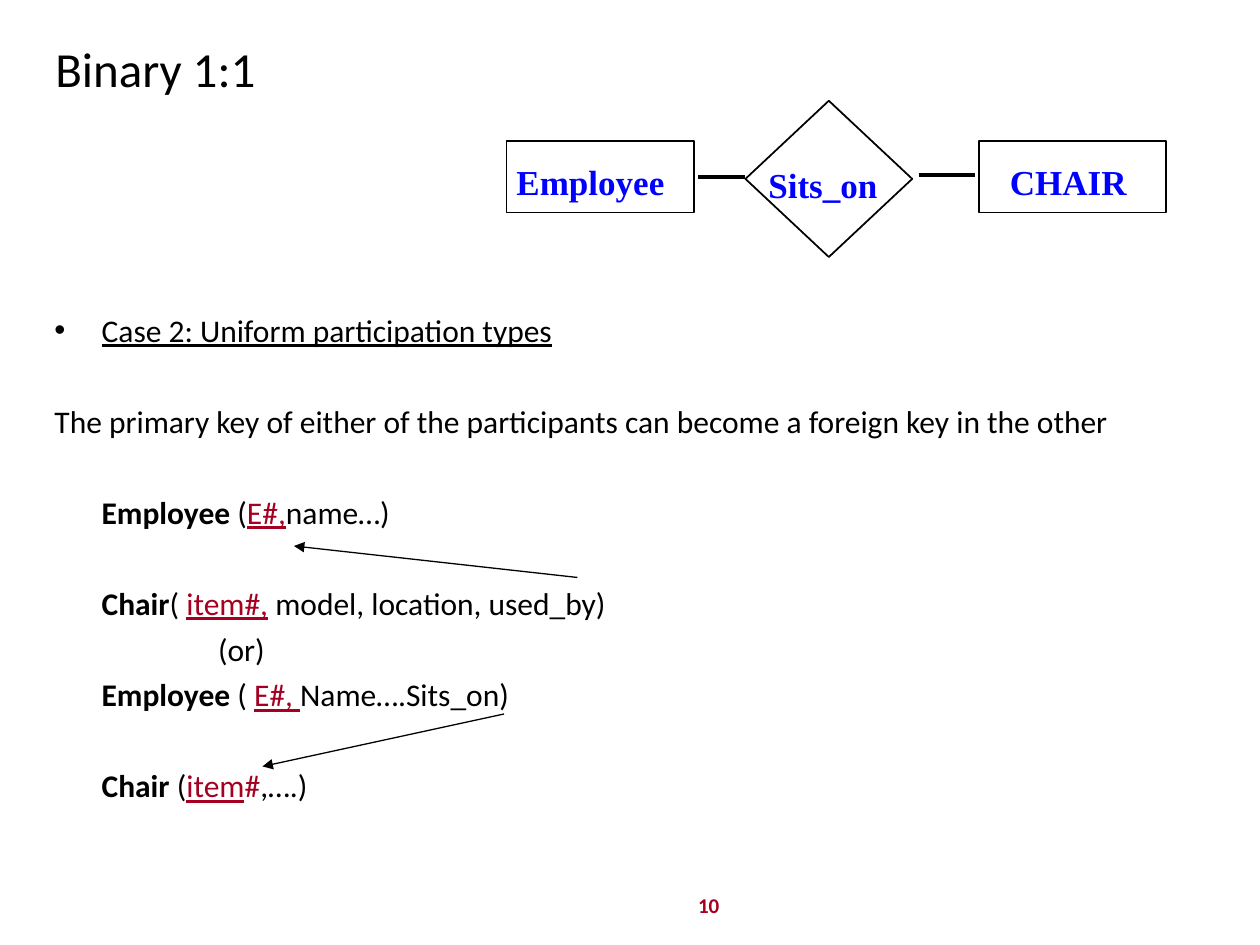
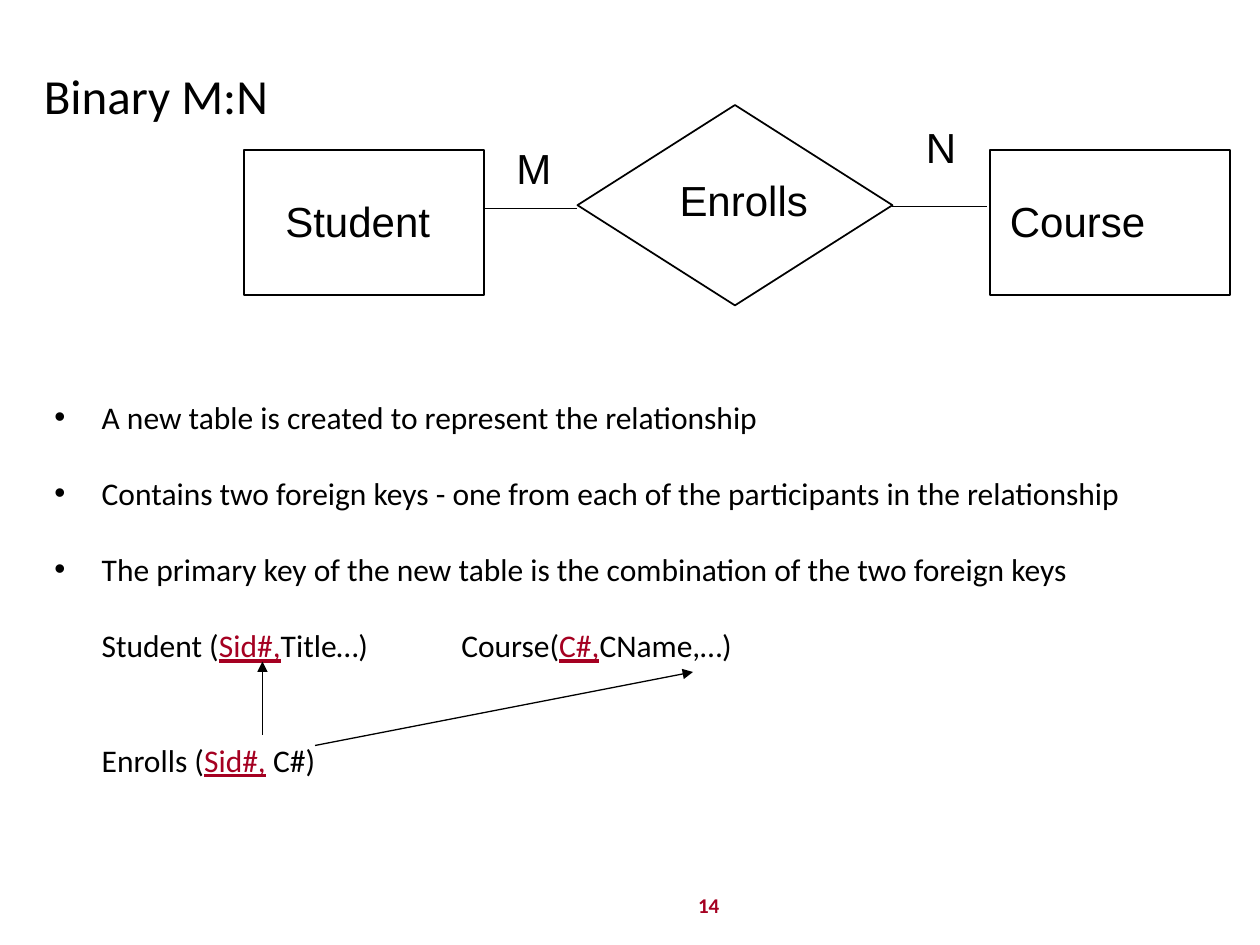
from dataclasses import dataclass
from enum import Enum

from lxml import etree
from pptx import Presentation
from pptx.dml.color import RGBColor
from pptx.enum import shapes, text
from pptx.oxml.ns import qn
from pptx.util import Pt

BLACK = RGBColor(0x00, 0x00, 0x00)
BLUE = RGBColor(0x00, 0x00, 0xFF)
CRIMSON = RGBColor(0xA5, 0x00, 0x21)
BODY_FONT = "Calibri"
RECT = shapes.MSO_SHAPE.RECTANGLE
DIAMOND = shapes.MSO_SHAPE.DIAMOND
LEFT, CENTER = text.PP_ALIGN.LEFT, text.PP_ALIGN.CENTER

Box = tuple[float, float, float, float]


class Mark(Enum):
    PLAIN = 0
    ENTITY = 1  # bold table name
    KEY = 2  # underlined red key
    RED = 3


@dataclass
class Font:
    name: str
    size: float
    color: RGBColor = BLACK
    bold: bool = False


@dataclass
class Outline:
    kind: shapes.MSO_SHAPE
    box: Box


@dataclass
class Label:
    text: str
    box: Box
    align: text.PP_ALIGN = LEFT


@dataclass
class Line:
    box: Box  # x1, y1, x2, y2
    width: float = 0.75
    arrow: bool = False


@dataclass
class Para:
    runs: list[tuple[str, Mark]]
    before: float = 0
    margin: float = 0
    indent: float = 0
    bullet: bool = False
    underline: bool = False


TITLE = Font(BODY_FONT, 28)
BODY = Font(BODY_FONT, 18)
NUMBER = Font(BODY_FONT, 12, CRIMSON, True)
SERIF = Font("Times New Roman", 20, BLUE, True)
SANS = Font("Arial", 24)


def set_font(r, font: Font) -> None:
    r.font.name, r.font.size, r.font.bold = font.name, Pt(font.size), font.bold
    r.font.color.rgb = font.color


def add_box(s, box: Box, wrap: bool = True):
    tf = s.shapes.add_textbox(*map(Pt, box)).text_frame
    tf.word_wrap = wrap
    return tf


def add_label(s, label: Label, font: Font, wrap: bool = False, middle: bool = False) -> None:
    tf = add_box(s, label.box, wrap)
    tf.text = label.text
    if middle:
        tf.vertical_anchor = text.MSO_ANCHOR.MIDDLE
    p = tf.paragraphs[0]
    p.alignment = label.align
    set_font(p.runs[0], font)


def add_outline(s, outline: Outline) -> None:
    sp = s.shapes.add_shape(outline.kind, *map(Pt, outline.box))
    sp.shadow.inherit = False
    sp.fill.background()
    sp.line.color.rgb, sp.line.width = BLACK, Pt(1)


def add_line(s, line: Line) -> None:
    cx = s.shapes.add_connector(shapes.MSO_CONNECTOR.STRAIGHT, *map(Pt, line.box))
    cx.line.color.rgb, cx.line.width = BLACK, Pt(line.width)
    if line.arrow:
        etree.SubElement(cx.line._get_or_add_ln(), qn("a:tailEnd"), type="triangle")
    etree.SubElement(cx._element.spPr, qn("a:effectLst"))


def add_para(p, para: Para, spacing: float) -> None:
    p.line_spacing, p.space_before = spacing, Pt(para.before)
    ppr = p._p.get_or_add_pPr()
    ppr.set("marL", str(Pt(para.margin)))
    ppr.set("indent", str(Pt(para.indent)))
    if para.bullet:
        etree.SubElement(ppr, qn("a:buFont"), typeface="Arial")
        etree.SubElement(ppr, qn("a:buChar"), char="•")
    for words, mark in para.runs:
        r = p.add_run()
        r.text = words
        set_font(r, BODY)
        r.font.bold = mark is Mark.ENTITY
        r.font.underline = para.underline or mark is Mark.KEY
        if mark in (Mark.KEY, Mark.RED):
            r.font.color.rgb = CRIMSON


def add_body(s, box: Box, paras: list[Para], spacing: float = 1.0) -> None:
    tf = add_box(s, box)
    for i, para in enumerate(paras):
        add_para(tf.add_paragraph() if i else tf.paragraphs[0], para, spacing)


def bullet(words: str, before: float = 0, underline: bool = False) -> Para:
    return Para([(words, Mark.PLAIN)], before, 27, -27, True, underline)


def schema(before: float, *runs: tuple[str, Mark]) -> Para:
    return Para(list(runs), before, 52.5, -25.5)


def add_slide(prs, title: Label, number: str):
    """Blank slide with the shared title style and page number."""
    s = prs.slides.add_slide(prs.slide_layouts[6])
    add_label(s, Label(number, (390, 506.5, 30, 22), CENTER), NUMBER)
    add_label(s, title, TITLE, wrap=True, middle=True)
    return s


def add_diagram(s, outlines: list[Outline], labels: list[Label], font: Font,
                lines: list[Line]) -> None:
    for outline in outlines:
        add_outline(s, outline)
    for label in labels:
        add_label(s, label, font)
    for line in lines:
        add_line(s, line)


def one_to_one(prs) -> None:
    s = add_slide(prs, Label("Binary 1:1", (24.5, 18.7, 675, 40.3)), "10")
    near, far = 4.5, 30.4  # next row, or one row skipped
    add_body(s, (24, 174.2, 672, 300), [
        bullet("Case 2: Uniform participation types", underline=True),
        Para([("The primary key of either of the participants can become "
               "a foreign key in the other", Mark.PLAIN)], far),
        schema(far, ("Employee", Mark.ENTITY), (" (", Mark.PLAIN),
               ("E#,", Mark.KEY), ("name…)", Mark.PLAIN)),
        schema(far, ("Chair", Mark.ENTITY), ("( ", Mark.PLAIN),
               ("item#,", Mark.KEY), (" model, location, used_by)", Mark.PLAIN)),
        Para([("(or)", Mark.PLAIN)], near, 93.5),
        schema(near, ("Employee", Mark.ENTITY), (" ( ", Mark.PLAIN),
               ("E#, ", Mark.KEY), ("Name….Sits_on)", Mark.PLAIN)),
        schema(far, ("Chair", Mark.ENTITY), (" (", Mark.PLAIN), ("item", Mark.KEY),
               ("#", Mark.RED), (",….)", Mark.PLAIN)),
    ])
    add_diagram(
        s,
        [Outline(RECT, (289.5, 80.5, 107, 41)),
         Outline(RECT, (559.5, 80.5, 107, 41)),
         Outline(DIAMOND, (426, 57.6, 95.3, 89.3))],
        [Label("Employee", (288, 88.2, 99.4, 31)),
         Label("CHAIR", (570, 88.2, 115, 31)),
         Label("Sits_on", (432, 90, 77, 31))],
        SERIF,
        [Line((399, 101, 425.5, 101), 2),
         Line((525, 100, 557, 100), 2),
         Line((330, 330, 168, 312), arrow=True),
         Line((288, 408, 150, 438), arrow=True)])


def many_to_many(prs) -> None:
    s = add_slide(prs, Label("Binary M:N", (18, 24, 648, 60)), "14")
    skip_one, skip_two = 26.2, 48.3
    add_body(s, (24, 228, 672, 246), [
        bullet("A new table is created to represent the relationship"),
        bullet("Contains two foreign keys - one from each of the participants "
               "in the relationship", skip_one),
        bullet("The primary key of the new table is the combination of the two "
               "foreign keys", skip_one),
        schema(skip_one, ("Student (", Mark.PLAIN), ("Sid#,", Mark.KEY),
               ("Title…) \t\tCourse(", Mark.PLAIN), ("C#,", Mark.KEY),
               ("CName,…)", Mark.PLAIN)),
        schema(skip_two, ("Enrolls (", Mark.PLAIN), ("Sid#,", Mark.KEY),
               (" C#)", Mark.PLAIN)),
    ], 0.8)
    add_diagram(
        s,
        [Outline(RECT, (139.5, 85.7, 137, 83)),
         Outline(RECT, (565.7, 85.7, 137, 83)),
         Outline(DIAMOND, (330, 60, 180, 114.5))],
        [Label("Student", (156, 108, 97, 36)),
         Label("Enrolls", (381, 96, 88, 36), CENTER),
         Label("Course", (570, 108, 132, 36)),
         Label("M", (288, 78, 34.5, 36)),
         Label("N", (522, 66, 31.5, 36))],
        SANS,
        [Line((276, 119, 330, 119)),
         Line((510, 118, 564, 118)),
         Line((150, 420, 150, 378), arrow=True),
         Line((180, 426, 396, 384), arrow=True)])


def main() -> None:
    prs = Presentation()
    prs.slide_width, prs.slide_height = Pt(720), Pt(540)
    one_to_one(prs)
    many_to_many(prs)
    prs.save("out.pptx")


if __name__ == "__main__":
    main()
